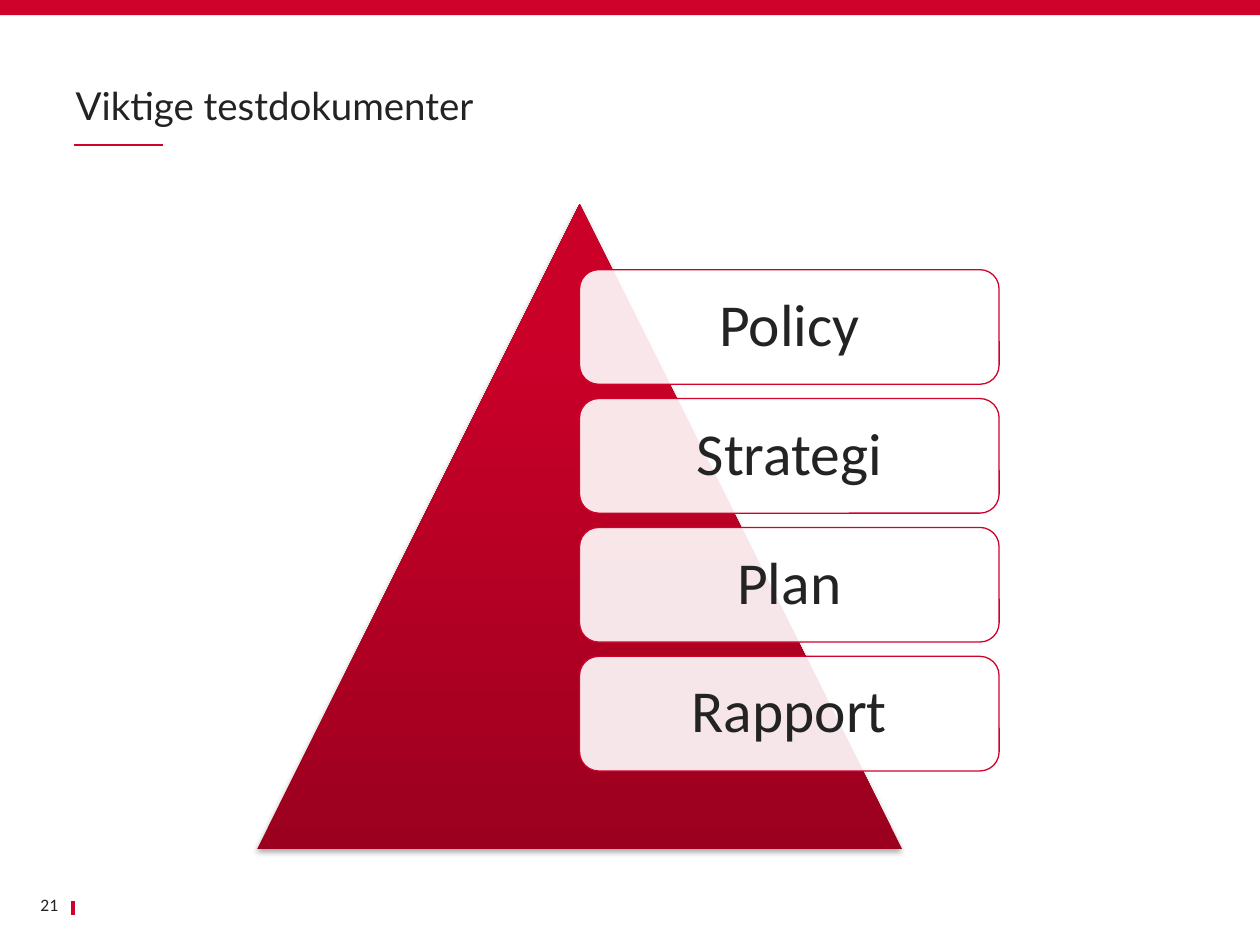
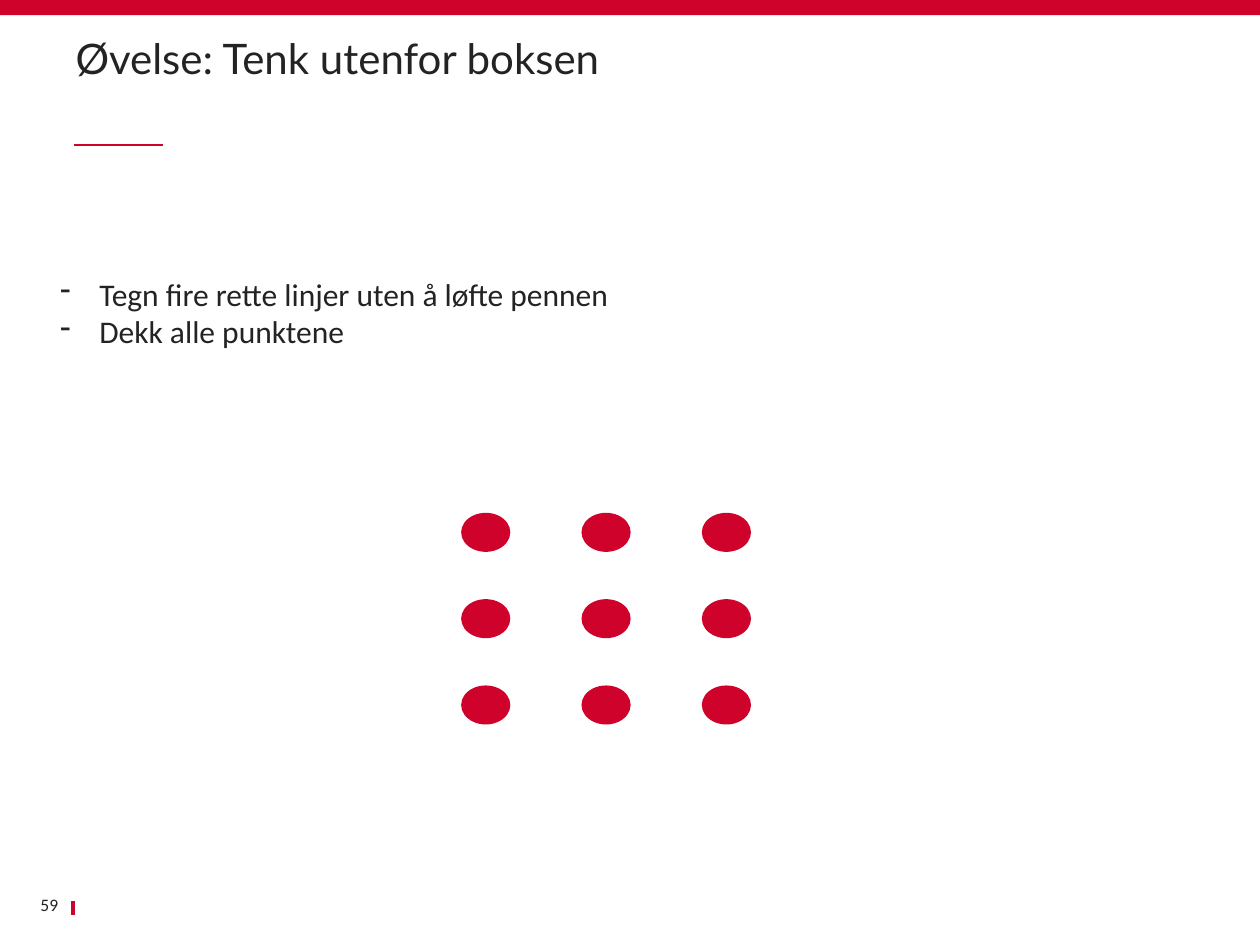
from copy import deepcopy

from lxml.etree import SubElement
from pptx import Presentation
from pptx.dml.color import RGBColor
from pptx.enum.shapes import MSO_CONNECTOR, MSO_SHAPE
from pptx.enum.text import MSO_ANCHOR, PP_ALIGN
from pptx.oxml.ns import qn
from pptx.util import Inches, Pt

RED = RGBColor(0xCF, 0x02, 0x2B)
DEEP = RGBColor(0x9C, 0x00, 0x1F)
BRIGHT = RGBColor(0xCB, 0x00, 0x29)
INK = RGBColor(0x23, 0x23, 0x23)
WHITE = RGBColor(0xFF, 0xFF, 0xFF)

deck = Presentation()
deck.slide_width, deck.slide_height = Inches(10), Inches(7.5)
COL = deck.slide_width / 100
ROW = deck.slide_height / 75


def draw(slide, kind, left, top, width, height, fill=RED, edge=None):
    """Add a preset shape, placed in columns and rows; without a kind, a text box."""
    place = int(left * COL), int(top * ROW), int(width * COL), int(height * ROW)
    if kind is None:
        return slide.shapes.add_textbox(*place)
    shape = slide.shapes.add_shape(kind, *place)
    shape.shadow.inherit = False
    shape.fill.solid()
    shape.fill.fore_color.rgb = fill
    if edge:
        shape.line.color.rgb = edge
        shape.line.width = Pt(0.75)
    else:
        shape.line.fill.background()
    return shape


def write(shape, text, size, font="Calibri", align=PP_ALIGN.LEFT,
          anchor=MSO_ANCHOR.MIDDLE, inset=0.1, spacing=1.0, bullet=None):
    """Fill a shape with text, one paragraph for each line."""
    frame = shape.text_frame
    frame.word_wrap = True
    frame.vertical_anchor = anchor
    frame.margin_left = frame.margin_right = Inches(inset)
    frame.text = text
    for para in frame.paragraphs:
        para.alignment = align
        para.line_spacing = spacing
        if bullet:
            props = para._p.get_or_add_pPr()
            props.set("marL", str(Inches(0.31)))
            props.set("indent", str(-Inches(0.31)))
            SubElement(props, qn("a:buChar")).set("char", bullet)
        para.font.name = font
        para.font.size = Pt(size)
        para.font.color.rgb = INK


# Shared frame: top band, title, rule and page number
TITLES = [
    ("Viktige testdokumenter", 22, 10.7, "21"),
    ("Øvelse: Tenk utenfor boksen", 24, 7.1, "59"),
]
RULES = [(5.8, 71.5, 5.8, 72.6, 2.25), (5.9, 11.5, 12.9, 11.5, 1)]
slides = []
for title, size, base, page in TITLES:
    slide = deck.slides.add_slide(deck.slide_layouts[6])
    slides.append(slide)
    for x1, y1, x2, y2, weight in RULES:
        rule = slide.shapes.add_connector(
            MSO_CONNECTOR.STRAIGHT,
            int(x1 * COL), int(y1 * ROW), int(x2 * COL), int(y2 * ROW))
        rule.line.color.rgb = RED
        rule.line.width = Pt(weight)
        SubElement(rule._element.spPr, qn("a:effectLst"))
    draw(slide, MSO_SHAPE.RECTANGLE, 0, 0, 100, 1.2)
    head = draw(slide, None, 6, 2.1, 88, base - 2.1)
    write(head, title, size, font="Lato", anchor=MSO_ANCHOR.BOTTOM,
          inset=0, spacing=0.9)
    number = draw(slide, None, 2, 70.6, 3.6, 2.4)
    write(number, page, 10, align=PP_ALIGN.RIGHT)

pyramid, puzzle = slides

# Pyramid of test documents
peak = draw(pyramid, MSO_SHAPE.ISOSCELES_TRIANGLE, 20.4, 16.2, 51.2, 51.2)
peak.fill.gradient()
peak.fill.gradient_angle = 90
first, last = peak.fill.gradient_stops
first.color.rgb, last.color.rgb = DEEP, BRIGHT
props = peak._element.spPr
final = props.findall(".//" + qn("a:gs"))[-1]
final.addnext(deepcopy(final))
last.position = 0.8
shadow = SubElement(props.find(qn("a:effectLst")), qn("a:outerShdw"),
                    blurRad=str(Pt(3.1)), dist=str(Pt(1.8)), dir="5400000",
                    rotWithShape="0")
black = SubElement(shadow, qn("a:srgbClr"), val="000000")
SubElement(black, qn("a:alpha"), val="35000")

for row, name in enumerate(["Policy", "Strategi", "Plan", "Rapport"]):
    card = draw(pyramid, MSO_SHAPE.ROUNDED_RECTANGLE,
                46, 21.4 + row * 10.23, 33.3, 9.1, fill=WHITE, edge=RED)
    tint = card._element.spPr.find(qn("a:solidFill"))[0]
    SubElement(tint, qn("a:alpha"), val="90000")
    write(card, name, 34, align=PP_ALIGN.CENTER, inset=0.18, spacing=0.9)

# Nine dots puzzle
task = draw(puzzle, None, 3.8, 21.3, 50, 7.1)
write(task, "Tegn fire rette linjer uten å løfte pennen\nDekk alle punktene",
      18, anchor=MSO_ANCHOR.TOP, bullet="-")
for row in range(3):
    for col in range(3):
        draw(puzzle, MSO_SHAPE.OVAL, 36.6 + col * 9.55, 40.7 + row * 6.85, 3.9, 3.1)

deck.save("out.pptx")
